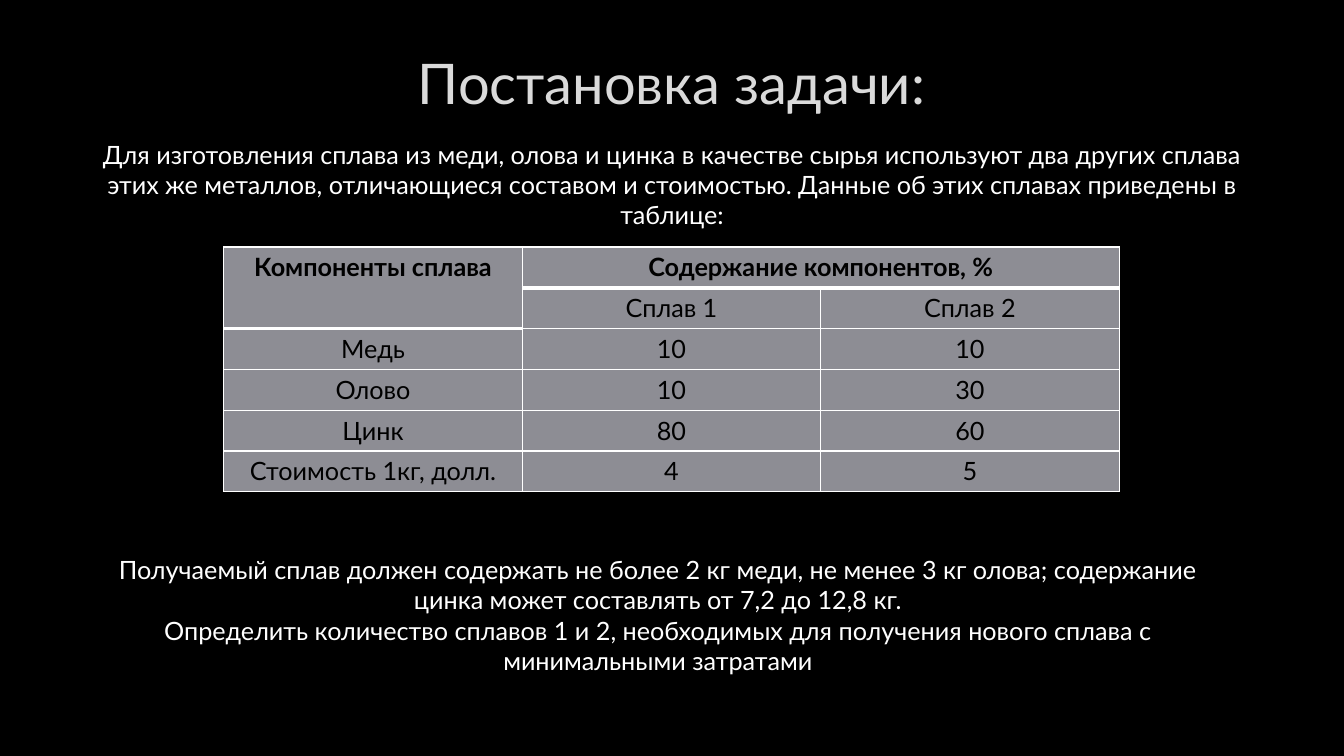
from lxml.etree import SubElement
from pptx import Presentation
from pptx.dml.color import RGBColor
from pptx.enum.text import MSO_ANCHOR, PP_ALIGN
from pptx.oxml.ns import qn
from pptx.util import Inches, Pt

# Content
TITLE = "Постановка задачи:"
INTRO = ["Для изготовления сплава из меди, олова и цинка в качестве сырья "
         "используют два других сплава этих же металлов, отличающиеся составом "
         "и стоимостью. Данные об этих сплавах приведены в таблице:"]
ALLOYS = [
    ("Компоненты сплава", "Содержание компонентов, %", ""),
    ("", "Сплав 1", "Сплав 2"),
    ("Медь", "10", "10"),
    ("Олово", "10", "30"),
    ("Цинк", "80", "60"),
    ("Стоимость 1кг, долл.", "4", "5"),
]
TASK = ["Получаемый сплав должен содержать не более 2 кг меди, не менее 3 кг "
        "олова; содержание цинка может составлять от 7,2 до 12,8 кг.",
        "Определить количество сплавов 1 и 2, необходимых для получения нового "
        "сплава с минимальными затратами"]
MERGES = [((0, 0), (1, 0)), ((0, 1), (0, 2))]
HEAVY_BELOW = {(0, 0), (1, 0), (0, 1), (0, 2)}  # cells with a thick bottom edge

FONT = "Lato"
BLACK = RGBColor(0x00, 0x00, 0x00)
WHITE = RGBColor(0xFF, 0xFF, 0xFF)
TITLE_GRAY = RGBColor(0xDA, 0xDA, 0xDA)
CELL_GRAY = RGBColor(0x8D, 0x8D, 0x94)
COLUMN_WIDTH, ROW_HEIGHT = 2.96, 0.405


def format_text(frame, size, color, bold=False):
    for paragraph in frame.paragraphs:
        paragraph.alignment = PP_ALIGN.CENTER
        font = paragraph.font
        font.name, font.size, font.bold = FONT, Pt(size), bold
        font.color.rgb = color


def add_text(slide, lines, left, top, width, height):
    frame = slide.shapes.add_textbox(
        Inches(left), Inches(top), Inches(width), Inches(height)).text_frame
    frame.word_wrap = True
    frame.text = "\n".join(lines)
    format_text(frame, 18, WHITE)


def set_borders(cell, top, bottom):
    properties = cell._tc.get_or_add_tcPr()
    for edge, width in (("L", 1), ("R", 1), ("T", top), ("B", bottom)):
        line = SubElement(properties, qn(f"a:ln{edge}"), w=str(Pt(width)))
        fill = SubElement(line, qn("a:solidFill"))
        SubElement(fill, qn("a:srgbClr"), val=str(WHITE))


def add_alloy_table(slide):
    rows, columns = len(ALLOYS), len(ALLOYS[0])
    table = slide.shapes.add_table(
        rows, columns, Inches(2.22), Inches(2.45),
        Inches(columns * COLUMN_WIDTH), Inches(rows * ROW_HEIGHT)).table
    for column in table.columns:
        column.width = Inches(COLUMN_WIDTH)
    for row in table.rows:
        row.height = Inches(ROW_HEIGHT)
    for r, values in enumerate(ALLOYS):
        for c, value in enumerate(values):
            cell = table.cell(r, c)
            cell.text = value
            format_text(cell.text_frame, 18, BLACK, bold=r == 0)
            set_borders(cell,
                        top=3 if (r - 1, c) in HEAVY_BELOW else 1,
                        bottom=3 if (r, c) in HEAVY_BELOW else 1)
            cell.fill.solid()
            cell.fill.fore_color.rgb = CELL_GRAY
    for first, last in MERGES:
        table.cell(*first).merge(table.cell(*last))


def main():
    deck = Presentation()
    deck.slide_width, deck.slide_height = Inches(13.33), Inches(7.5)
    slide = deck.slides.add_slide(deck.slide_layouts[5])
    slide.background.fill.solid()
    slide.background.fill.fore_color.rgb = BLACK

    # Title
    title = slide.shapes.title
    title.left, title.top = Inches(1.41), Inches(0)
    title.width, title.height = Inches(10.5), Inches(1.62)
    title.text = TITLE
    title.text_frame.vertical_anchor = MSO_ANCHOR.MIDDLE
    format_text(title.text_frame, 40, TITLE_GRAY)

    # Statement, data and task
    add_text(slide, INTRO, 0.89, 1.33, 11.55, 1.01)
    add_alloy_table(slide)
    add_text(slide, TASK, 0.75, 5.45, 11.55, 1.31)

    deck.save("out.pptx")


if __name__ == "__main__":
    main()
